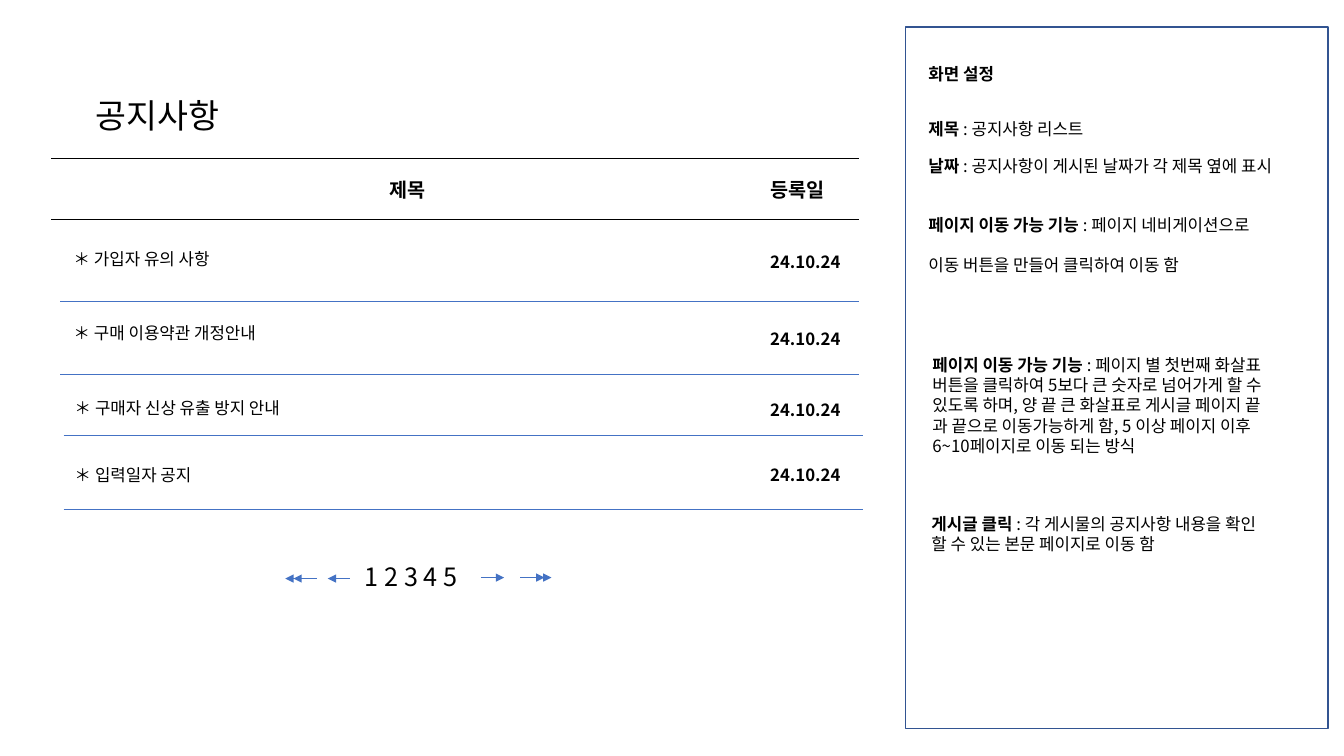
from lxml.etree import SubElement
from pptx import Presentation
from pptx.dml.color import RGBColor
from pptx.enum.shapes import MSO_CONNECTOR, MSO_SHAPE
from pptx.enum.text import MSO_AUTO_SIZE
from pptx.oxml.ns import qn
from pptx.util import Inches, Pt

BLACK = RGBColor(0x00, 0x00, 0x00)
BLUE = RGBColor(0x44, 0x72, 0xC4)
NAVY = RGBColor(0x32, 0x54, 0x91)


class NoticeBoard:
    font = "Noto Sans CJK KR"

    def __init__(self, slide):
        self.slide = slide

    def panel(self, left, top, width, height):
        frame = self.slide.shapes.add_shape(
            MSO_SHAPE.RECTANGLE, Inches(left), Inches(top), Inches(width), Inches(height))
        frame.shadow.inherit = False
        frame.fill.background()
        frame.line.color.rgb = NAVY
        frame.line.width = Pt(1)

    def rule(self, start, end, y, color=BLUE, arrow=False):
        rule = self.slide.shapes.add_connector(
            MSO_CONNECTOR.STRAIGHT, Inches(start), Inches(y), Inches(end), Inches(y))
        rule.line.color.rgb = color
        rule.line.width = Pt(0.5)
        if arrow:
            SubElement(rule.line._get_or_add_ln(), qn("a:tailEnd"), type="triangle")
        SubElement(rule._element.spPr, qn("a:effectLst"))

    def run(self, paragraph, wording, size, bold):
        run = paragraph.add_run()
        run.text = wording
        run.font.name = self.font
        run.font.size = Pt(size)
        run.font.bold = bold
        run.font.color.rgb = BLACK
        SubElement(run._r.get_or_add_rPr(), qn("a:ea"), typeface=self.font)

    def text(self, left, top, width, height, lines, size=12, label="", bold=False,
             wrap=False, gap=0):
        box = self.slide.shapes.add_textbox(
            Inches(left), Inches(top), Inches(width), Inches(height))
        frame = box.text_frame
        frame.word_wrap = wrap
        frame.auto_size = MSO_AUTO_SIZE.SHAPE_TO_FIT_TEXT
        for index, line in enumerate(lines):
            paragraph = frame.add_paragraph() if index else frame.paragraphs[0]
            if index:
                paragraph.space_before = Pt(gap)
            elif label:
                self.run(paragraph, label, size, True)
            self.run(paragraph, line, size, bold)


def main():
    deck = Presentation()
    deck.slide_width = Inches(13.33)
    deck.slide_height = Inches(7.5)
    board = NoticeBoard(deck.slides.add_slide(deck.slide_layouts[6]))

    board.panel(8.98, 0.27, 4.19, 6.96)
    board.text(0.85, 0.89, 1.55, 0.5, ["공지사항"], size=24)

    for y in (1.57, 2.18):
        board.rule(0.51, 8.52, y, BLACK)
    board.text(3.76, 1.72, 5.82, 0.34, ["제목"], size=14, bold=True, wrap=True)
    board.text(7.54, 1.72, 0.9, 0.34, ["등록일"], size=14, bold=True, wrap=True)

    notices = [
        ("가입자 유의 사항", 0.63, 2.42, 2.45, 0.6, 8.52, 2.99),
        ("구매 이용약관 개정안내", 0.63, 3.15, 3.21, 0.6, 8.52, 3.71),
        ("구매자 신상 유출 방지 안내", 0.64, 3.9, 3.92, 0.63, 8.56, 4.32),
        ("입력일자 공지", 0.64, 4.56, 4.56, 0.63, 8.56, 5.05),
    ]
    for title, left, title_top, date_top, start, end, rule_y in notices:
        board.text(left, title_top, 5.82, 0.3, [f"＊ {title}"], wrap=True)
        board.text(7.54, date_top, 5.79, 0.3, ["24.10.24"], bold=True, wrap=True)
        board.rule(start, end, rule_y)

    board.text(3.52, 5.52, 1.25, 0.4, ["1 2 3 4 5"], size=18)
    for start, end in ((3.47, 3.25), (3.14, 2.91), (3.06, 2.83)):
        board.rule(start, end, 5.74, arrow=True)
    for start, end in ((4.77, 5), (5.16, 5.4), (5.24, 5.47)):
        board.rule(start, end, 5.73, arrow=True)

    board.text(9.11, 0.58, 0.93, 0.3, ["화면 설정"], bold=True)
    descriptions = [
        (9.11, 1.13, 1.93, 0.3, "제목 ", [": 공지사항 리스트"], 0),
        (9.11, 1.5, 4.08, 0.3, "날짜 ", [": 공지사항이 게시된 날짜가 각 제목 옆에 표시"], 0),
        (9.11, 2.08, 3.79, 0.71, "페이지 이동 가능 기능 ",
         [": 페이지 네비게이션으로", "이동 버튼을 만들어 클릭하여 이동 함"], 14.5),
        (9.15, 3.47, 3.97, 1.11, "페이지 이동 가능 기능 ",
         [": 페이지 별 첫번째 화살표",
          "버튼을 클릭하여 5보다 큰 숫자로 넘어가게 할 수",
          "있도록 하며, 양 끝 큰 화살표로 게시글 페이지 끝",
          "과 끝으로 이동가능하게 함, 5 이상 페이지 이후",
          "6~10페이지로 이동 되는 방식"], 0),
        (9.14, 5.05, 3.85, 0.5, "게시글 클릭 ",
         [": 각 게시물의 공지사항 내용을 확인", "할 수 있는 본문 페이지로 이동 함"], 0),
    ]
    for left, top, width, height, label, lines, gap in descriptions:
        board.text(left, top, width, height, lines, label=label, gap=gap)

    deck.save("out.pptx")


if __name__ == "__main__":
    main()
